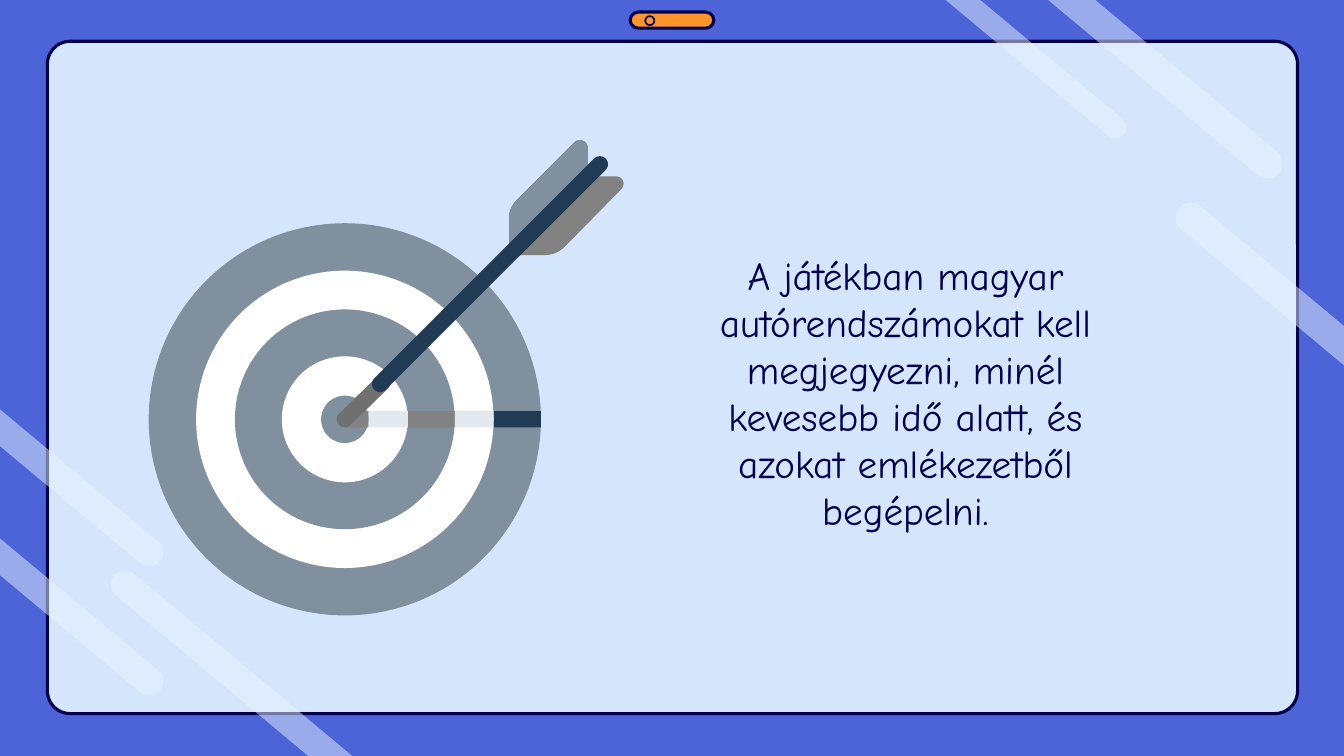
from dataclasses import dataclass
from itertools import chain
from math import atan2, cos, pi, sin

from lxml import etree
from pptx import Presentation
from pptx import util as u
from pptx.dml.color import RGBColor
from pptx.enum import shapes, text
from pptx.oxml.ns import qn
from pptx.shapes.base import BaseShape
from pptx.slide import Slide

WIDTH, HEIGHT = 13.33, 7.5
Point = tuple[float, float]


@dataclass(frozen=True)
class Theme:
    background: str = "4C64D8"
    panel: str = "D5E6FC"
    ink: str = "00004D"
    streak: str = "E9F3FF"
    pill: str = "FF952B"
    steel: str = "81909E"
    white: str = "FFFFFF"
    navy: str = "213B55"
    mist: str = "E3E9EE"
    grey: str = "828282"
    tip: str = "707070"
    font: str = "Comic Neue"
    body_size: float = 28
    panel_line: float = 2.25
    knob_line: float = 1.25


@dataclass(frozen=True)
class Streak:
    """A light band from a round cap to the slide edge; heading 1 runs down and right."""
    x: float
    y: float
    radius: float
    heading: int


@dataclass(frozen=True)
class Ring:
    diameter: float
    color: str
    bar_color: str


THEME = Theme()
STREAK_SLOPE = 0.835
STREAKS = [
    Streak(12.57, 1.62, 0.15, -1),
    Streak(11.06, 1.26, 0.11, -1),
    Streak(1.24, 5.8, 0.14, 1),
    Streak(1.48, 6.76, 0.14, -1),
    Streak(1.48, 5.48, 0.14, -1),
    Streak(11.81, 2.16, 0.15, 1),
]
TARGET_CENTER: Point = (3.42, 4.16)
BAR_HEIGHT = 0.16
RINGS = [
    Ring(3.89, THEME.steel, THEME.navy),
    Ring(2.95, THEME.white, THEME.mist),
    Ring(2.18, THEME.steel, THEME.grey),
    Ring(1.25, THEME.white, THEME.mist),
    Ring(0.47, THEME.steel, THEME.grey),
]
BODY = ("A játékban magyar autórendszámokat kell megjegyezni, minél kevesebb idő alatt, "
        "és azokat emlékezetből begépelni.")


def paint(shape: BaseShape, fill: str | None, line: str | None = None,
          line_width: float = 0, opacity: int = 100) -> None:
    shape.shadow.inherit = False
    if fill:
        shape.fill.solid()
        shape.fill.fore_color.rgb = RGBColor.from_string(fill)
        if opacity < 100:
            color = shape.fill._xPr.find(qn("a:solidFill"))[0]
            etree.SubElement(color, qn("a:alpha"), val=str(opacity * 1000))
    else:
        shape.fill.background()
    if line:
        shape.line.color.rgb = RGBColor.from_string(line)
        shape.line.width = u.Pt(line_width)
    else:
        shape.line.fill.background()


def add_preset(page: Slide, kind: shapes.MSO_SHAPE, left: float, top: float,
               width: float, height: float) -> BaseShape:
    return page.shapes.add_shape(kind, u.Inches(left), u.Inches(top),
                                 u.Inches(width), u.Inches(height))


def add_polygon(page: Slide, points: list[Point]) -> BaseShape:
    corners = [(u.Inches(x), u.Inches(y)) for x, y in points]
    builder = page.shapes.build_freeform(*corners[0])
    builder.add_line_segments(corners[1:], close=True)
    return builder.convert_to_shape()


def cap(center: Point, radius: float, angle: float, steps: int = 16) -> list[Point]:
    """Half circle that bulges toward the angle."""
    turns = [angle - pi / 2 + pi * step / steps for step in range(steps + 1)]
    return [(center[0] + radius * cos(turn), center[1] + radius * sin(turn)) for turn in turns]


def curve(start: Point, pull_a: Point, pull_b: Point, end: Point, steps: int = 10) -> list[Point]:
    """Cubic curve as a run of points."""
    def at(t: float, axis: int) -> float:
        s = 1 - t
        return (s ** 3 * start[axis] + 3 * s * s * t * pull_a[axis]
                + 3 * s * t * t * pull_b[axis] + t ** 3 * end[axis])
    return [(at(step / steps, 0), at(step / steps, 1)) for step in range(steps + 1)]


def to_slide_edge(point: Point, heading: int) -> Point:
    x, y = point
    edge_x, edge_y = (WIDTH, HEIGHT) if heading > 0 else (0, 0)
    run = min(abs(edge_x - x), abs(edge_y - y) / STREAK_SLOPE) * heading
    return x + run, y + run * STREAK_SLOPE


def add_streak(page: Slide, streak: Streak) -> None:
    angle = atan2(-streak.heading * STREAK_SLOPE, -streak.heading)
    points = cap((streak.x, streak.y), streak.radius, angle)
    ends = [to_slide_edge(points[side], streak.heading) for side in (-1, 0)]
    paint(add_polygon(page, points + ends), THEME.streak, opacity=50)


def add_rod(page: Slide, start: Point, end: Point, radius: float, color: str) -> None:
    angle = atan2(end[1] - start[1], end[0] - start[0])
    paint(add_polygon(page, cap(end, radius, angle) + cap(start, radius, angle + pi)), color)


def add_frame(page: Slide) -> None:
    panel = add_preset(page, shapes.MSO_SHAPE.ROUNDED_RECTANGLE, 0.47, 0.41, 12.4, 6.67)
    panel.adjustments[0] = 0.034
    paint(panel, THEME.panel, THEME.ink, THEME.panel_line)
    for streak in STREAKS:
        add_streak(page, streak)
    pill = add_preset(page, shapes.MSO_SHAPE.ROUNDED_RECTANGLE, 6.25, 0.12, 0.83, 0.16)
    pill.adjustments[0] = 0.5
    paint(pill, THEME.pill, THEME.ink, THEME.panel_line)
    knob = add_preset(page, shapes.MSO_SHAPE.OVAL, 6.4, 0.16, 0.09, 0.09)
    paint(knob, None, THEME.ink, THEME.knob_line)


def add_body(page: Slide) -> None:
    box = page.shapes.add_textbox(u.Inches(6.62), u.Inches(1.53), u.Inches(4.72), u.Inches(4.72))
    frame = box.text_frame
    frame.word_wrap = True
    frame.vertical_anchor = text.MSO_ANCHOR.MIDDLE
    frame.margin_left = frame.margin_right = u.Inches(0.13)
    frame.margin_top = frame.margin_bottom = u.Inches(0.13)
    para = frame.paragraphs[0]
    para.text = BODY
    para.alignment = text.PP_ALIGN.CENTER
    para.space_after = u.Pt(21.3)
    para.font.name = THEME.font
    para.font.size = u.Pt(THEME.body_size)
    para.font.color.rgb = RGBColor.from_string(THEME.ink)


def add_feathers(page: Slide) -> None:
    notch, heel = (5.83, 1.75), (5.05, 2.53)
    upper = list(chain(
        [notch],
        curve((5.83, 1.47), (5.83, 1.42), (5.79, 1.39), (5.75, 1.39)),
        curve((5.75, 1.39), (5.73, 1.39), (5.71, 1.4), (5.7, 1.41)),
        curve((5.12, 1.99), (5.08, 2.03), (5.05, 2.09), (5.05, 2.15)),
        [heel],
    ))
    lower = list(chain(
        curve((5.42, 2.53), (5.48, 2.53), (5.54, 2.5), (5.59, 2.46)),
        curve((6.16, 1.88), (6.21, 1.83), (6.18, 1.75), (6.11, 1.75)),
    ))
    paint(add_polygon(page, upper + lower), THEME.grey)
    paint(add_polygon(page, upper), THEME.steel)


def add_target(page: Slide) -> None:
    x, y = TARGET_CENTER
    add_feathers(page)
    for ring in RINGS:
        radius = ring.diameter / 2
        disc = add_preset(page, shapes.MSO_SHAPE.OVAL, x - radius, y - radius,
                          ring.diameter, ring.diameter)
        paint(disc, ring.color)
        bar = add_preset(page, shapes.MSO_SHAPE.RECTANGLE, x, y - BAR_HEIGHT / 2,
                         radius, BAR_HEIGHT)
        paint(bar, ring.bar_color)
    add_rod(page, TARGET_CENTER, (3.79, 3.8), 0.08, THEME.tip)
    add_rod(page, (3.77, 3.81), (5.95, 1.63), 0.08, THEME.navy)


def main() -> None:
    deck = Presentation()
    deck.slide_width, deck.slide_height = u.Inches(WIDTH), u.Inches(HEIGHT)
    page = deck.slides.add_slide(deck.slide_layouts[6])
    page.background.fill.solid()
    page.background.fill.fore_color.rgb = RGBColor.from_string(THEME.background)
    add_frame(page)
    add_body(page)
    add_target(page)
    deck.save("out.pptx")


if __name__ == "__main__":
    main()
